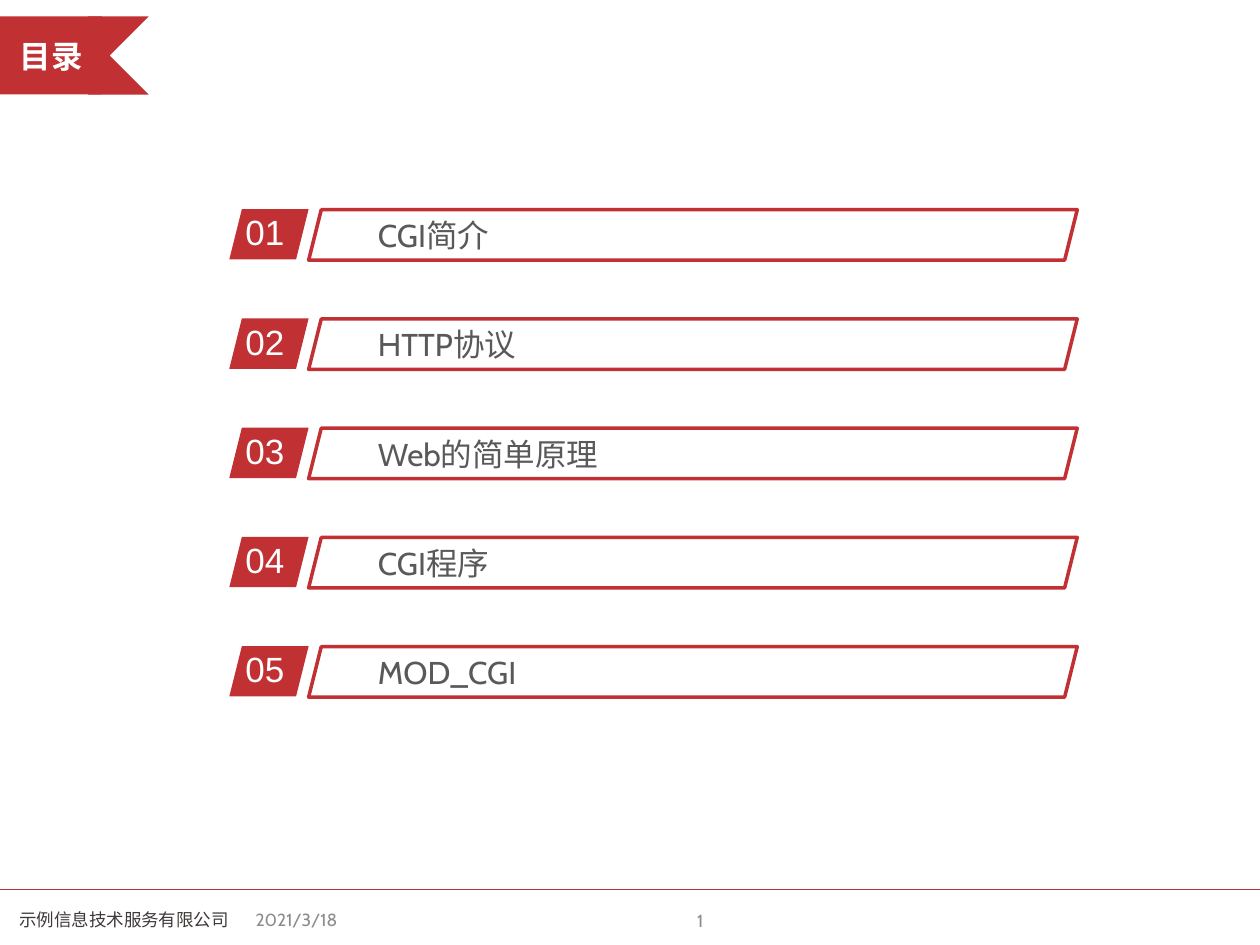
from dataclasses import dataclass
from typing import NamedTuple

from lxml.etree import SubElement
from pptx import Presentation
from pptx.dml.color import RGBColor
from pptx.enum.shapes import MSO_CONNECTOR, MSO_SHAPE
from pptx.enum.text import MSO_ANCHOR as Anchor, PP_ALIGN as Align
from pptx.oxml.ns import qn
from pptx.util import Inches, Pt

# Grid: 100 columns by 75 rows over the slide
WIDTH, HEIGHT = Inches(10), Inches(7.5)
COLUMN, ROW = WIDTH / 100, HEIGHT / 75


@dataclass(frozen=True)
class Theme:
    red: str = "C13133"
    white: str = "FFFFFF"
    body: str = "595959"
    muted: str = "8C8C8C"
    dark: str = "3E3A39"
    latin: str = "Cabin"
    sans: str = "Arial"
    heading: int = 18
    number: int = 20
    footer: int = 10
    outline: float = 2
    rule: float = 0.75


class Box(NamedTuple):
    column: float
    row: float
    columns: float
    rows: float

    def lengths(self) -> tuple:
        return (round(self.column * COLUMN), round(self.row * ROW),
                round(self.columns * COLUMN), round(self.rows * ROW))


class Style(NamedTuple):
    size: float
    font: str
    color: str
    bold: bool = False
    align: Align = Align.LEFT
    anchor: Anchor = Anchor.MIDDLE


class FooterItem(NamedTuple):
    text: str
    box: Box
    color: str
    align: Align


THEME = Theme()
TITLE = Style(THEME.heading, THEME.sans, THEME.white, True, Align.CENTER)
TOPIC = Style(THEME.heading, THEME.latin, THEME.body)
NUMBER = Style(THEME.number, THEME.sans, THEME.white, anchor=Anchor.TOP)

TOPICS = ["CGI简介", "HTTP协议", "Web的简单原理", "CGI程序", "MOD_CGI"]
FIRST_ROW, ROW_PITCH = 16.65, 8.67

FOOTER = [
    FooterItem("2021/3/18", Box(19.3, 71, 23.3, 4), THEME.muted, Align.LEFT),
    FooterItem("示例信息技术服务有限公司", Box(-8.3, 71, 36.3, 4), THEME.dark, Align.CENTER),
    FooterItem("1", Box(33.5, 71.1, 23.3, 4), THEME.muted, Align.RIGHT),
]


def rgb(color: str) -> RGBColor:
    return RGBColor.from_string(color)


def write(shape, text: str, style: Style, side: float = 0.1, edge: float = 0.05) -> None:
    frame = shape.text_frame
    frame.word_wrap = True
    frame.vertical_anchor = style.anchor
    frame.margin_left = frame.margin_right = Inches(side)
    frame.margin_top = frame.margin_bottom = Inches(edge)
    paragraph = frame.paragraphs[0]
    paragraph.text = text
    paragraph.alignment = style.align
    font = paragraph.font
    font.size, font.name, font.bold = Pt(style.size), style.font, style.bold
    font.color.rgb = rgb(style.color)


def add_filled(shapes, kind: MSO_SHAPE, box: Box, color: str):
    shape = shapes.add_shape(kind, *box.lengths())
    shape.shadow.inherit = False
    shape.fill.solid()
    shape.fill.fore_color.rgb = rgb(color)
    shape.line.fill.background()
    return shape


def add_label(shapes, text: str, box: Box, style: Style) -> None:
    write(shapes.add_textbox(*box.lengths()), text, style)


def add_rule(shapes, row: float) -> None:
    y = round(row * ROW)
    rule = shapes.add_connector(MSO_CONNECTOR.STRAIGHT, 0, y, WIDTH, y)
    rule.line.color.rgb = rgb(THEME.red)
    rule.line.width = Pt(THEME.rule)
    SubElement(rule._element.spPr, qn("a:effectLst"))


def add_ribbon(shapes, title: str) -> None:
    ribbon = shapes.add_group_shape().shapes
    tail = add_filled(ribbon, MSO_SHAPE.CHEVRON, Box(3.9, 1.3, 7.9, 6.2), THEME.red)
    tail._element.spPr.find(qn("a:xfrm")).set("flipH", "1")
    plate = add_filled(ribbon, MSO_SHAPE.RECTANGLE, Box(0, 1.3, 8.1, 6.2), THEME.red)
    write(plate, title, TITLE, edge=0.16)


def add_topic(shapes, index: int, text: str) -> None:
    row = FIRST_ROW + index * ROW_PITCH
    bar = add_filled(shapes, MSO_SHAPE.PARALLELOGRAM, Box(24.5, row, 61, 4), THEME.white)
    bar.line.color.rgb = rgb(THEME.red)
    bar.line.width = Pt(THEME.outline)
    fill_color = bar._element.spPr.find(qn("a:solidFill"))[0]
    SubElement(fill_color, qn("a:alpha"), val="70000")
    write(bar, text, TOPIC, side=0)
    add_filled(shapes, MSO_SHAPE.PARALLELOGRAM, Box(18.2, row - 0.05, 6.3, 4), THEME.red)
    add_label(shapes, f"{index + 1:02}", Box(18.5, row - 0.4, 8.7, 4.7), NUMBER)


def main() -> None:
    presentation = Presentation()
    presentation.slide_width, presentation.slide_height = WIDTH, HEIGHT
    slide = presentation.slides.add_slide(presentation.slide_layouts[6])
    shapes = slide.shapes

    # Frame: footer rule and title ribbon
    add_rule(shapes, 70.6)
    add_ribbon(shapes, "目录")

    # Contents list
    for index, text in enumerate(TOPICS):
        add_topic(shapes, index, text)

    # Footer
    for item in FOOTER:
        style = Style(THEME.footer, THEME.latin, item.color, align=item.align)
        add_label(shapes, item.text, item.box, style)

    presentation.save("out.pptx")


if __name__ == "__main__":
    main()
